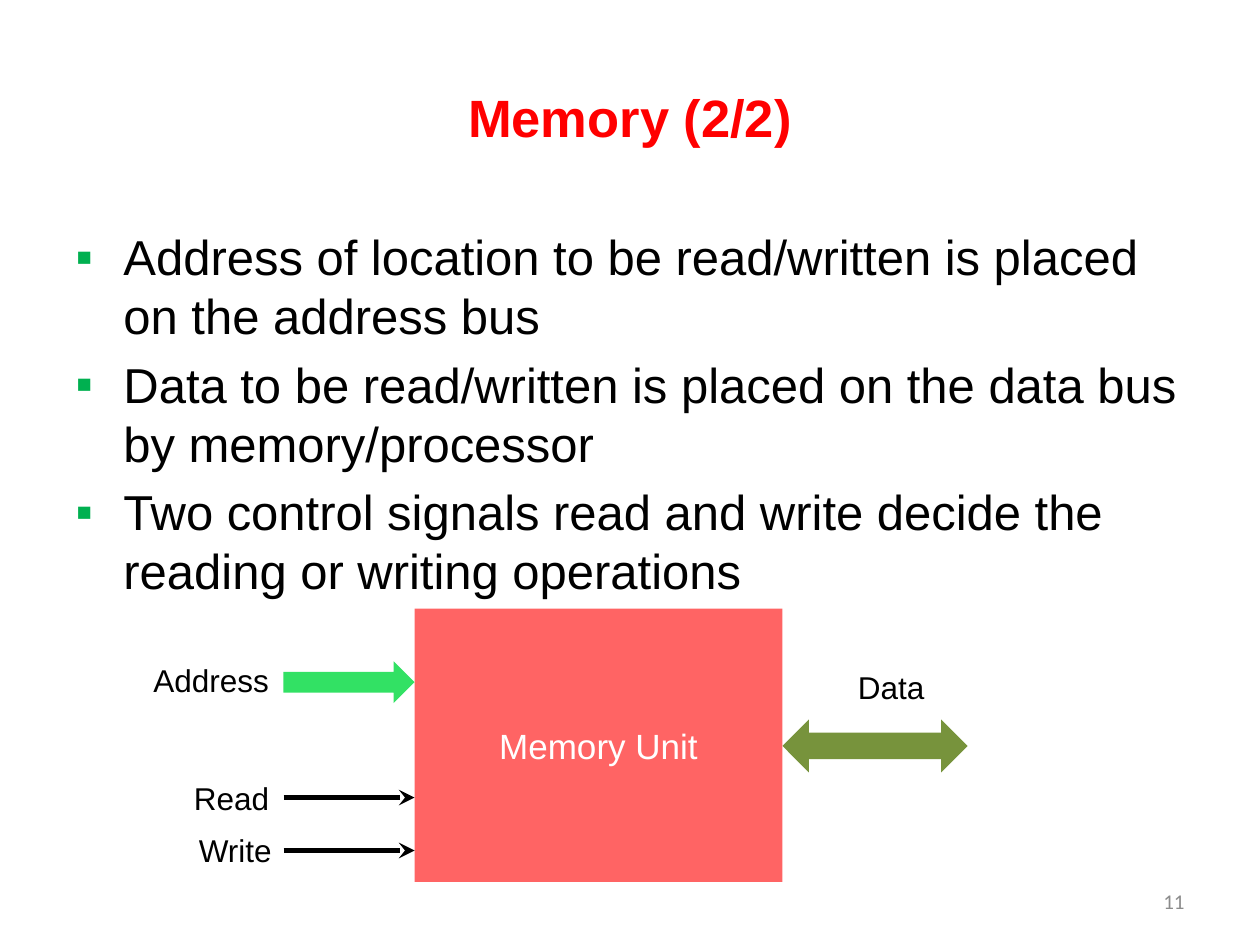
from lxml import etree
from pptx import Presentation
from pptx.dml.color import RGBColor
from pptx.enum.shapes import MSO_CONNECTOR, MSO_SHAPE
from pptx.enum.text import MSO_ANCHOR, PP_ALIGN
from pptx.oxml.ns import qn
from pptx.util import Inches, Pt

COLORS = {
    "title": "FF0000", "text": "000000", "bullet": "00B050", "number": "8C8C8C",
    "memory": "FF6464", "address": "32E164", "data": "77933C", "white": "FFFFFF",
}
BULLETS = [
    "Address of location to be read/written is placed on the address bus",
    "Data to be read/written is placed on the data bus by memory/processor",
    "Two control signals read and write decide the reading or writing operations",
]
SIGNAL_LEFT, MEMORY_LEFT, MEMORY_RIGHT = 2.25, 3.29, 6.21


def color(name):
    return RGBColor.from_string(COLORS[name])


def place(shape, *box):
    shape.left, shape.top, shape.width, shape.height = map(Inches, box)


def write(paragraph, text, size, tint="text", font="Arial", bold=False, align=None):
    run = paragraph.add_run()
    run.text = text
    run.font.name, run.font.size, run.font.bold = font, Pt(size), bold
    run.font.color.rgb = color(tint)
    paragraph.alignment = align


def add_bullet(paragraph, text):
    write(paragraph, text, 28)
    props = paragraph._p.get_or_add_pPr()
    props.set("marL", str(Inches(0.38)))
    props.set("indent", str(-Inches(0.38)))
    tint = etree.SubElement(props, qn("a:buClr"))
    etree.SubElement(tint, qn("a:srgbClr"), val=COLORS["bullet"])
    etree.SubElement(props, qn("a:buFont"), typeface="Arial")
    etree.SubElement(props, qn("a:buChar"), char="▪")


def add_label(slide, text, box, size=18, wrap=False, anchor=MSO_ANCHOR.TOP, **style):
    frame = slide.shapes.add_textbox(*map(Inches, box)).text_frame
    frame.word_wrap = wrap
    frame.vertical_anchor = anchor
    write(frame.paragraphs[0], text, size, **style)


def add_block(slide, kind, box, fill):
    block = slide.shapes.add_shape(kind, *map(Inches, box))
    block.shadow.inherit = False
    block.fill.solid()
    block.fill.fore_color.rgb = color(fill)
    block.line.fill.background()
    return block


def add_signal(slide, y):
    line = slide.shapes.add_connector(
        MSO_CONNECTOR.STRAIGHT, Inches(SIGNAL_LEFT), Inches(y), Inches(MEMORY_LEFT), Inches(y))
    line.line.color.rgb = color("text")
    line.line.width = Pt(3)
    etree.SubElement(line.line._get_or_add_ln(), qn("a:tailEnd"), type="stealth")
    etree.SubElement(line._element.spPr, qn("a:effectLst"))


def add_text(slide):
    title, body = slide.placeholders
    place(title, 0.5, 0.3, 9, 1.25)
    title.text_frame.vertical_anchor = MSO_ANCHOR.MIDDLE
    write(title.text_frame.paragraphs[0], "Memory (2/2)", 30, "title",
          bold=True, align=PP_ALIGN.CENTER)
    place(body, 0.5, 1.75, 9, 4.95)
    frame = body.text_frame
    for i, text in enumerate(BULLETS):
        add_bullet(frame.add_paragraph() if i else frame.paragraphs[0], text)
    add_label(slide, "11", (7.17, 6.95, 2.33, 0.4), 12, True, MSO_ANCHOR.MIDDLE,
              tint="number", font="Calibri", align=PP_ALIGN.RIGHT)


def add_diagram(slide):
    memory = add_block(slide, MSO_SHAPE.RECTANGLE,
                       (MEMORY_LEFT, 4.83, MEMORY_RIGHT - MEMORY_LEFT, 2.17), "memory")
    memory.text_frame.vertical_anchor = MSO_ANCHOR.MIDDLE
    write(memory.text_frame.paragraphs[0], "Memory Unit", 20, "white", align=PP_ALIGN.CENTER)
    add_block(slide, MSO_SHAPE.RIGHT_ARROW,
              (SIGNAL_LEFT, 5.25, MEMORY_LEFT - SIGNAL_LEFT, 0.33), "address")
    add_block(slide, MSO_SHAPE.LEFT_RIGHT_ARROW, (MEMORY_RIGHT, 5.71, 1.47, 0.42), "data")
    for y in (6.33, 6.75):
        add_signal(slide, y)
    for text, left, top, width in (("Address", 1.12, 5.2, 1.13), ("Read", 1.44, 6.13, 0.81),
                                   ("Write", 1.48, 6.55, 0.79), ("Data", 6.71, 5.25, 0.73)):
        add_label(slide, text, (left, top, width, 0.4))


def main():
    """Build the memory slide with its bullets and signal diagram."""
    deck = Presentation()
    deck.slide_width, deck.slide_height = Inches(10), Inches(7.5)
    slide = deck.slides.add_slide(deck.slide_layouts[1])
    add_text(slide)
    add_diagram(slide)
    deck.save("out.pptx")


main()
